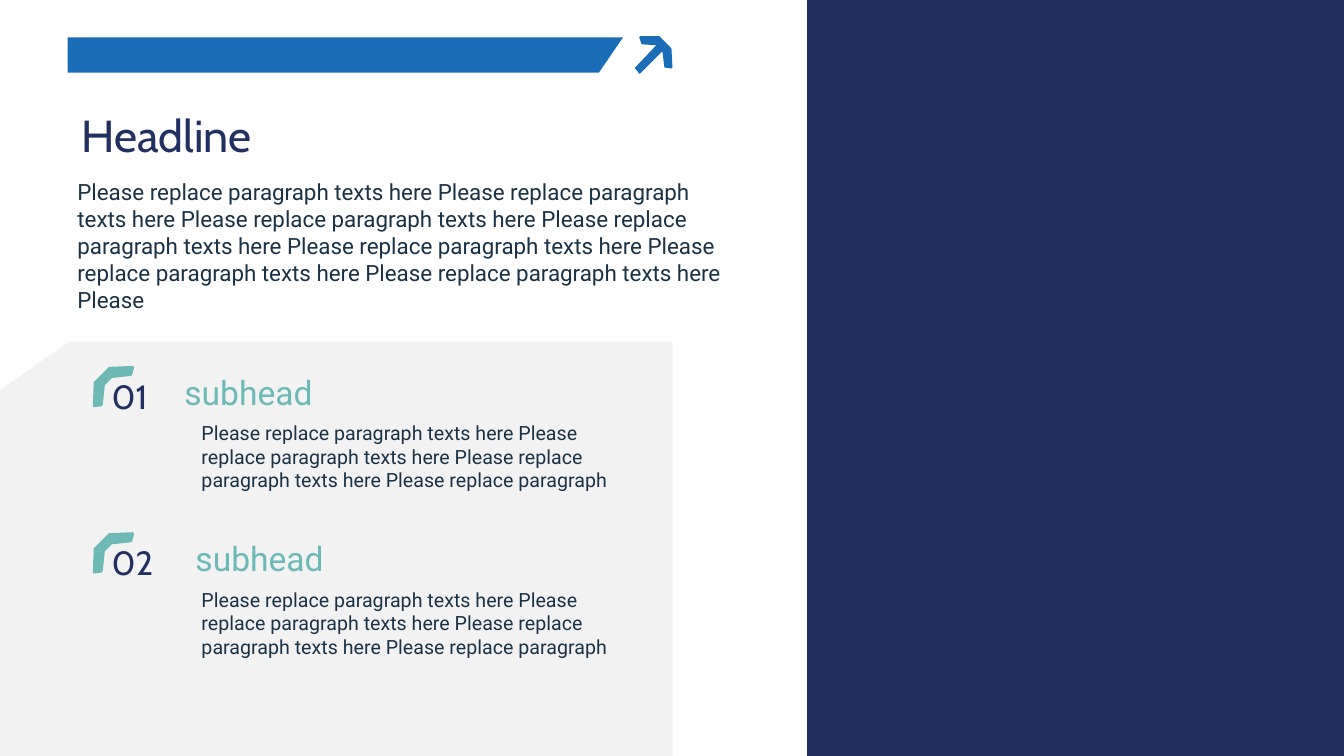
from pptx import Presentation
from pptx import util as u
from pptx.dml.color import RGBColor

NAVY = RGBColor(0x22, 0x2F, 0x61)
BLUE = RGBColor(0x1A, 0x6D, 0xB6)
TEAL = RGBColor(0x6C, 0xB9, 0xB6)
INK = RGBColor(0x1B, 0x32, 0x45)
GREY = RGBColor(0xF2, 0xF2, 0xF2)

FILL = "Please replace paragraph texts here"
INTRO = " ".join([FILL] * 7 + ["Please"])
BODY = " ".join([FILL] * 3 + ["Please replace paragraph"])
ITEMS = [("01", "subhead", 1.73, BODY), ("02", "subhead", 1.84, BODY)]
TOP, STEP = 3.63, 1.65

PANEL = [(0.68, 3.39), (6.67, 3.39), (6.67, 7.5), (-0.01, 7.5), (-0.01, 3.88)]
SIDE = [(8, 0), (13.33, 0), (13.33, 7.5), (8, 7.5)]
BAR = [(0.67, 0.37), (6.18, 0.37), (5.94, 0.72), (0.67, 0.72)]
ARROW = [(6.35, 0.36), (6.54, 0.36), (6.66, 0.48), (6.67, 0.67), (6.66, 0.68),
         (6.59, 0.67), (6.57, 0.51), (6.35, 0.73), (6.34, 0.73), (6.3, 0.68),
         (6.3, 0.67), (6.51, 0.45), (6.37, 0.44), (6.36, 0.43), (6.34, 0.37)]
HOOK = [(1.11, 0.12), (1.3, 0.1), (1.31, 0.09), (1.33, 0.02), (1.32, 0),
        (1.08, 0.01), (0.93, 0.16), (0.92, 0.4), (0.93, 0.41), (1.01, 0.4),
        (1.02, 0.38), (1.04, 0.19)]


def draw(slide, points, color, top=0):
    dots = [(round(x * 100), round((y + top) * 100)) for x, y in points]
    pen = slide.shapes.build_freeform(*dots[0], scale=u.Inches(0.01))
    pen.add_line_segments(dots[1:], close=True)
    shape = pen.convert_to_shape()
    shape.shadow.inherit = False
    shape.fill.solid()
    shape.fill.fore_color.rgb = color
    shape.line.fill.background()


def write(slide, words, left, top, width, height, size, color, font="Roboto", indent=0):
    box = slide.shapes.add_textbox(*map(u.Inches, (left, top, width, height)))
    frame = box.text_frame
    frame.word_wrap = True
    para = frame.paragraphs[0]
    if indent:
        props = para._p.get_or_add_pPr()
        props.set("marL", str(u.Inches(indent)))
        props.set("indent", "0")
    run = para.add_run()
    run.text = words
    run.font.size = u.Pt(size)
    run.font.name = font
    run.font.color.rgb = color


def main():
    deck = Presentation()
    deck.slide_width, deck.slide_height = u.Inches(13.33), u.Inches(7.5)
    slide = deck.slides.add_slide(deck.slide_layouts[6])

    for points, color in [(PANEL, GREY), (SIDE, NAVY), (BAR, BLUE), (ARROW, BLUE)]:
        draw(slide, points, color)

    write(slide, "Headline", 0.71, 1.02, 3.12, 0.64, 32, NAVY, font="Cabin")
    write(slide, INTRO, 0.61, 1.72, 6.83, 1.18, 16, INK, indent=0.06)

    for row, (mark, head, left, body) in enumerate(ITEMS):
        top = TOP + row * STEP
        draw(slide, HOOK, TEAL, top=top)
        write(slide, mark, 1.01, top + 0.05, 0.91, 0.5, 24, NAVY, font="Cabin")
        write(slide, head, left, top + 0.01, 4.58, 0.5, 24, TEAL)
        write(slide, body, 1.84, top + 0.5, 4.38, 0.81, 14, INK, indent=0.06)

    deck.save("out.pptx")


if __name__ == "__main__":
    main()
